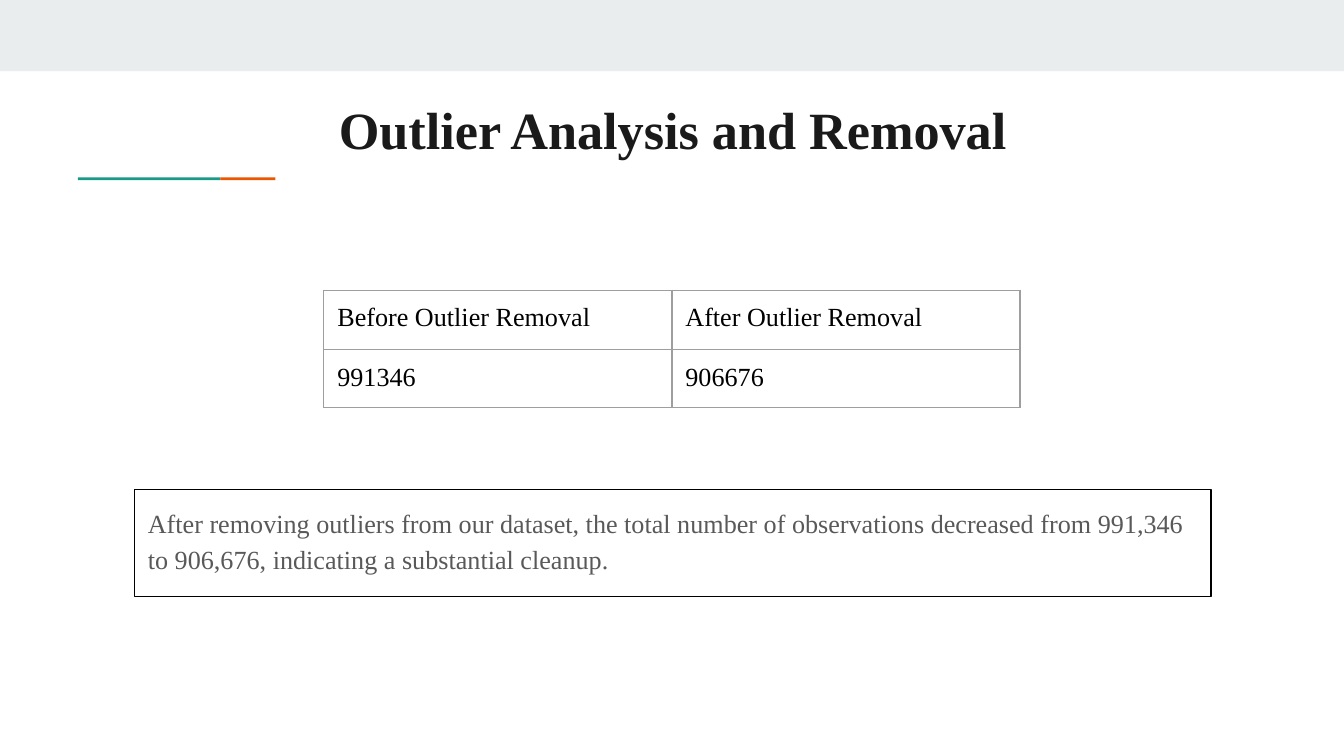
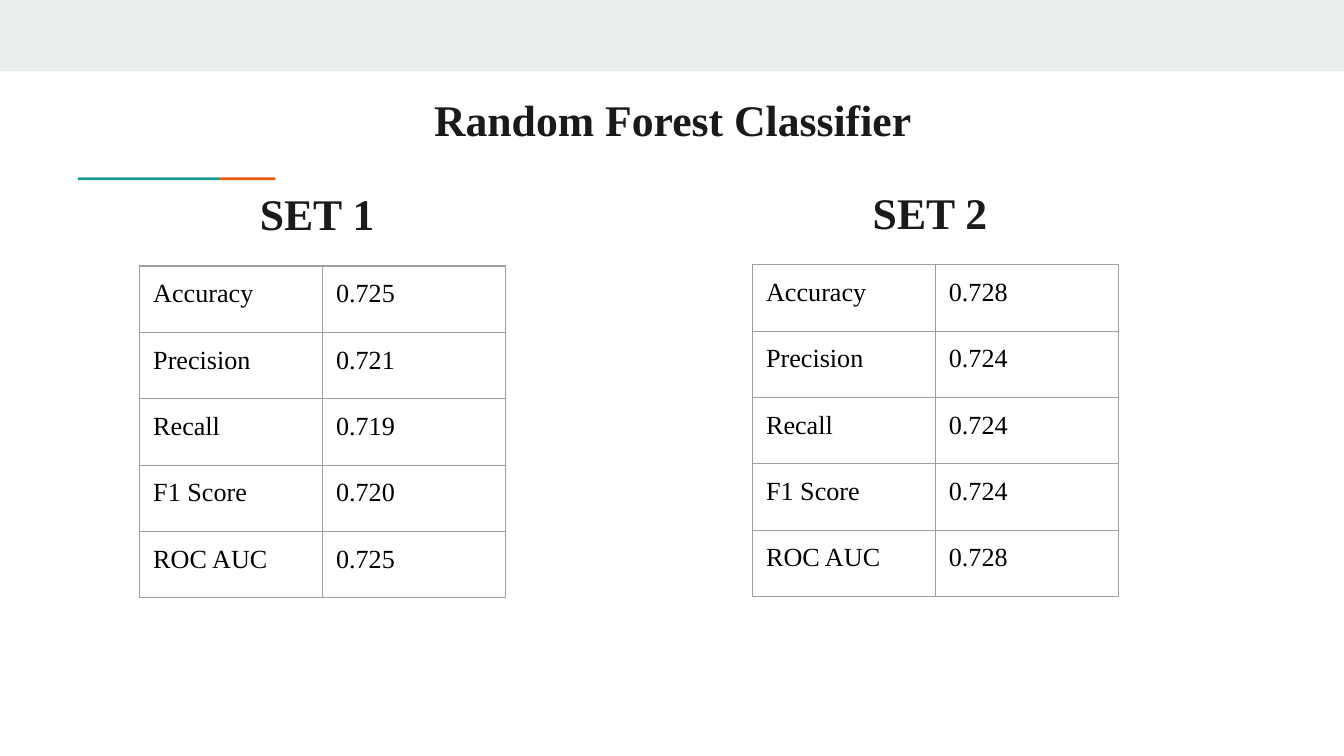
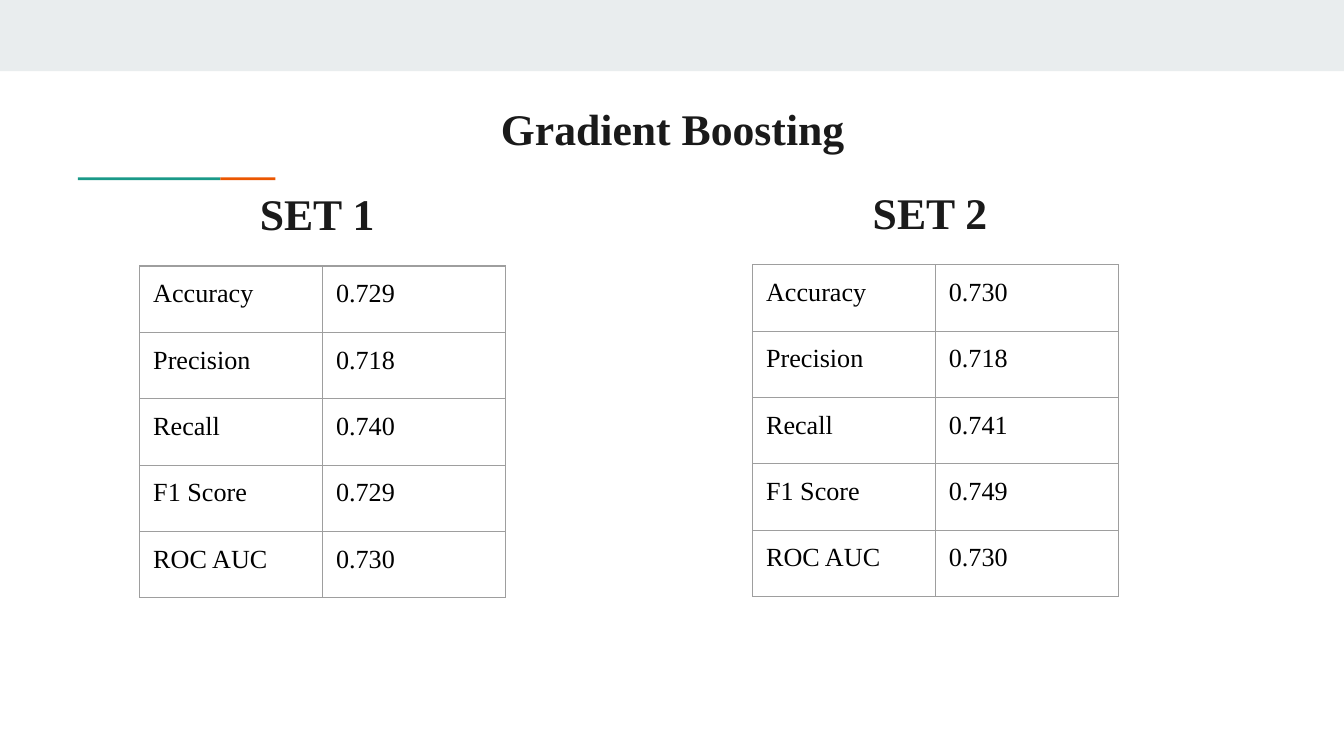
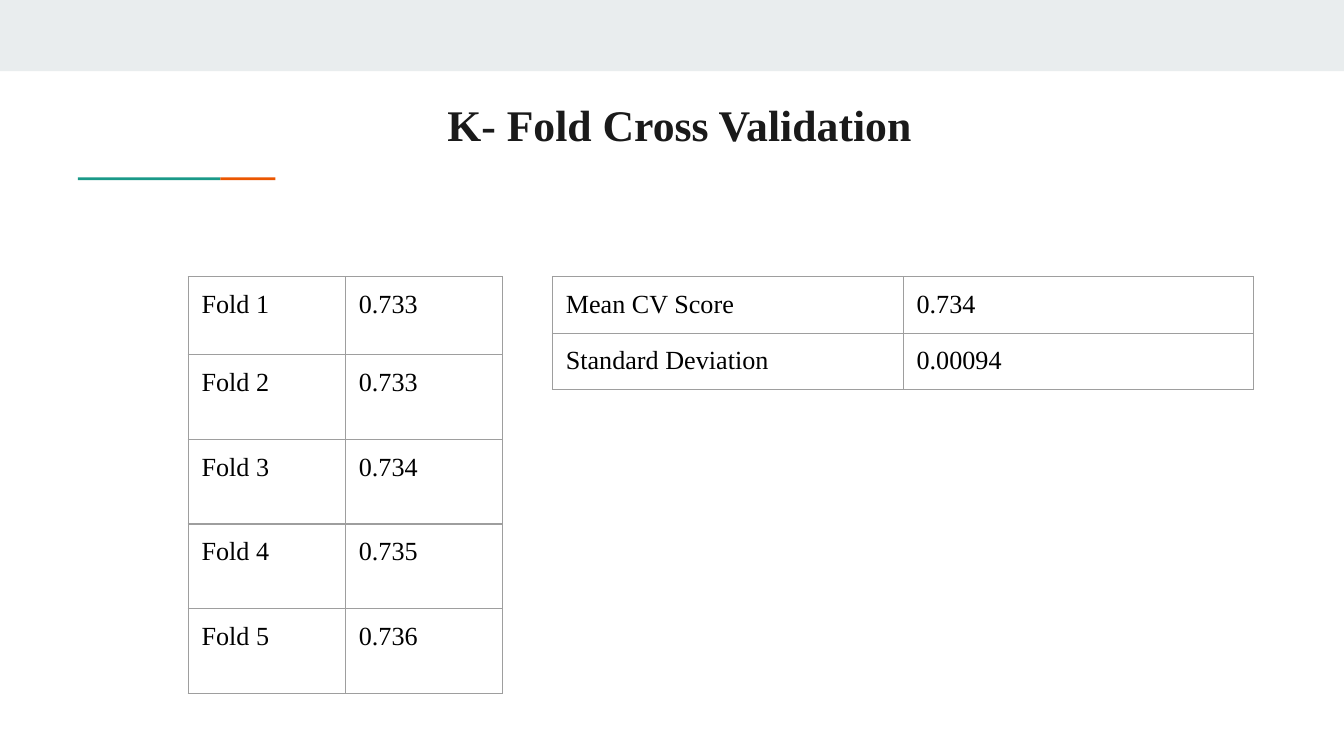
from lxml import etree
from pptx import Presentation
from pptx.dml.color import RGBColor
from pptx.enum.shapes import MSO_SHAPE
from pptx.enum.text import MSO_ANCHOR, MSO_AUTO_SIZE, PP_ALIGN
from pptx.oxml.ns import qn
from pptx.util import Inches, Pt

BAND = RGBColor(0xE9, 0xED, 0xEE)
TEAL = RGBColor(0x1A, 0x99, 0x88)
ORANGE = RGBColor(0xEB, 0x56, 0x00)
INK = RGBColor(0x1A, 0x1A, 0x1A)
GREY = RGBColor(0x59, 0x59, 0x59)
BLACK = RGBColor(0, 0, 0)
RULE = RGBColor(0x9E, 0x9E, 0x9E)

RECT = MSO_SHAPE.RECTANGLE
TOP = MSO_ANCHOR.TOP
FIXED = MSO_AUTO_SIZE.NONE
LEFT = PP_ALIGN.LEFT
CENTER = PP_ALIGN.CENTER

FONT = "Times New Roman"
INSET = Inches(0.1)
TEXT_SIZE = 14
HEAD_SIZE = 23.4
WIDE = 8.41
HEAD_TALL = 0.59
TITLE_ONLY = 5
TITLE_BODY = 1
METRICS = ["Accuracy", "Precision", "Recall", "F1 Score", "ROC AUC"]


def place(shape, left, top, width, height):
    shape.left, shape.top = Inches(left), Inches(top)
    shape.width, shape.height = Inches(width), Inches(height)


def pad(item):
    item.margin_left = item.margin_right = INSET
    item.margin_top = item.margin_bottom = INSET


def write(frame, text, size, color, bold=False, align=LEFT):
    para = frame.paragraphs[0]
    para.alignment = align
    run = para.add_run()
    run.text = text
    font = run.font
    font.name, font.size, font.bold = FONT, Pt(size), bold
    font.color.rgb = color
    return para


def set_frame(frame):
    frame.word_wrap = True
    frame.auto_size = FIXED
    frame.vertical_anchor = TOP
    pad(frame)


def add_bar(slide, box, color):
    bar = slide.shapes.add_shape(RECT, *map(Inches, box))
    bar.shadow.inherit = False
    bar.fill.solid()
    bar.fill.fore_color.rgb = color
    bar.line.fill.background()


def add_slide(deck, layout, title, top, left=0.8, size=HEAD_SIZE):
    slide = deck.slides.add_slide(deck.slide_layouts[layout])
    add_bar(slide, (0, 0, 10, 0.53), BAND)
    add_bar(slide, (0.58, 1.32, 1.06, 0.02), TEAL)
    add_bar(slide, (1.64, 1.32, 0.41, 0.02), ORANGE)
    head = slide.shapes.title
    place(head, left, top, WIDE, HEAD_TALL)
    set_frame(head.text_frame)
    write(head.text_frame, title, size, INK, True, CENTER)
    return slide


def add_head(slide, text, left, top):
    box = slide.shapes.add_textbox(0, 0, 0, 0)
    place(box, left, top, 1.68, HEAD_TALL)
    set_frame(box.text_frame)
    write(box.text_frame, text, HEAD_SIZE, INK, True, CENTER)


def add_note(slide, text):
    note = slide.placeholders[1]
    place(note, 1, 3.64, 8.01, 0.8)
    note.line.color.rgb = BLACK
    note.line.width = Pt(0.75)
    set_frame(note.text_frame)
    props = note.text_frame.paragraphs[0]._p.get_or_add_pPr()
    props.set("marL", "0")
    props.set("indent", "0")
    etree.SubElement(props, qn("a:buNone"))
    para = write(note.text_frame, text, TEXT_SIZE, GREY)
    para.line_spacing = 1.15
    para.space_before = Pt(0)
    para.space_after = Pt(12)


def add_edges(cell):
    props = cell._tc.get_or_add_tcPr()
    for spot, side in enumerate(("lnL", "lnR", "lnT", "lnB")):
        line = etree.Element(qn("a:" + side), w=str(Pt(0.75)))
        fill = etree.SubElement(line, qn("a:solidFill"))
        etree.SubElement(fill, qn("a:srgbClr"), val=str(RULE))
        props.insert(spot, line)


def add_grid(slide, left, top, width, heights, rows):
    frame = slide.shapes.add_table(
        len(rows), 2, Inches(left), Inches(top),
        Inches(2 * width), Inches(sum(heights)))
    table = frame.table
    table.first_row = table.horz_banding = False
    for col in table.columns:
        col.width = Inches(width)
    for row, height, texts in zip(table.rows, heights, rows):
        row.height = Inches(height)
        for cell, text in zip(row.cells, texts):
            cell.fill.background()
            cell.vertical_anchor = TOP
            pad(cell)
            add_edges(cell)
            write(cell.text_frame, text, TEXT_SIZE, BLACK)


def add_scores(deck, title, top, *sets):
    slide = add_slide(deck, TITLE_ONLY, title, top)
    spots = [(1.04, 1.98), (5.6, 1.97)]
    for num, ((left, high), scores) in enumerate(zip(spots, sets), 1):
        add_grid(slide, left, high, 1.36, [2.47 / 5] * 5,
                 list(zip(METRICS, scores)))
        add_head(slide, f"SET {num} ", left + 0.52, high - 0.69)


def add_outliers(deck):
    slide = add_slide(deck, TITLE_BODY, "Outlier Analysis and Removal",
                      0.62, size=28)
    add_note(slide, "After removing outliers from our dataset, the total "
             "number of observations decreased from 991,346 to 906,676, "
             "indicating a substantial cleanup.")
    add_grid(slide, 2.41, 2.16, 2.59, [0.44, 0.43], [
        ("Before Outlier Removal", "After Outlier Removal"),
        ("991346", "906676")])


def add_folds(deck):
    slide = add_slide(deck, TITLE_ONLY, "K- Fold Cross Validation",
                      0.63, left=0.85)
    scores = ["0.733", "0.733", "0.734", "0.735", "0.736"]
    folds = [(f"Fold {num}", score) for num, score in enumerate(scores, 1)]
    add_grid(slide, 1.4, 2.06, 1.17, [0.58] + [0.63] * 4, folds)
    add_grid(slide, 4.11, 2.06, 2.61, [0.42] * 2, [
        ("Mean CV Score", "0.734"),
        ("Standard Deviation", "0.00094")])


def main():
    deck = Presentation()
    deck.slide_width = Inches(10)
    deck.slide_height = deck.slide_width * 9 // 16
    add_outliers(deck)
    add_scores(deck, "Random Forest Classifier", 0.59,
               ["0.725", "0.721", "0.719", "0.720", "0.725"],
               ["0.728", "0.724", "0.724", "0.724", "0.728"])
    add_scores(deck, "Gradient Boosting", 0.66,
               ["0.729", "0.718", "0.740", "0.729", "0.730"],
               ["0.730", "0.718", "0.741", "0.749", "0.730"])
    add_folds(deck)
    deck.save("out.pptx")


if __name__ == "__main__":
    main()
